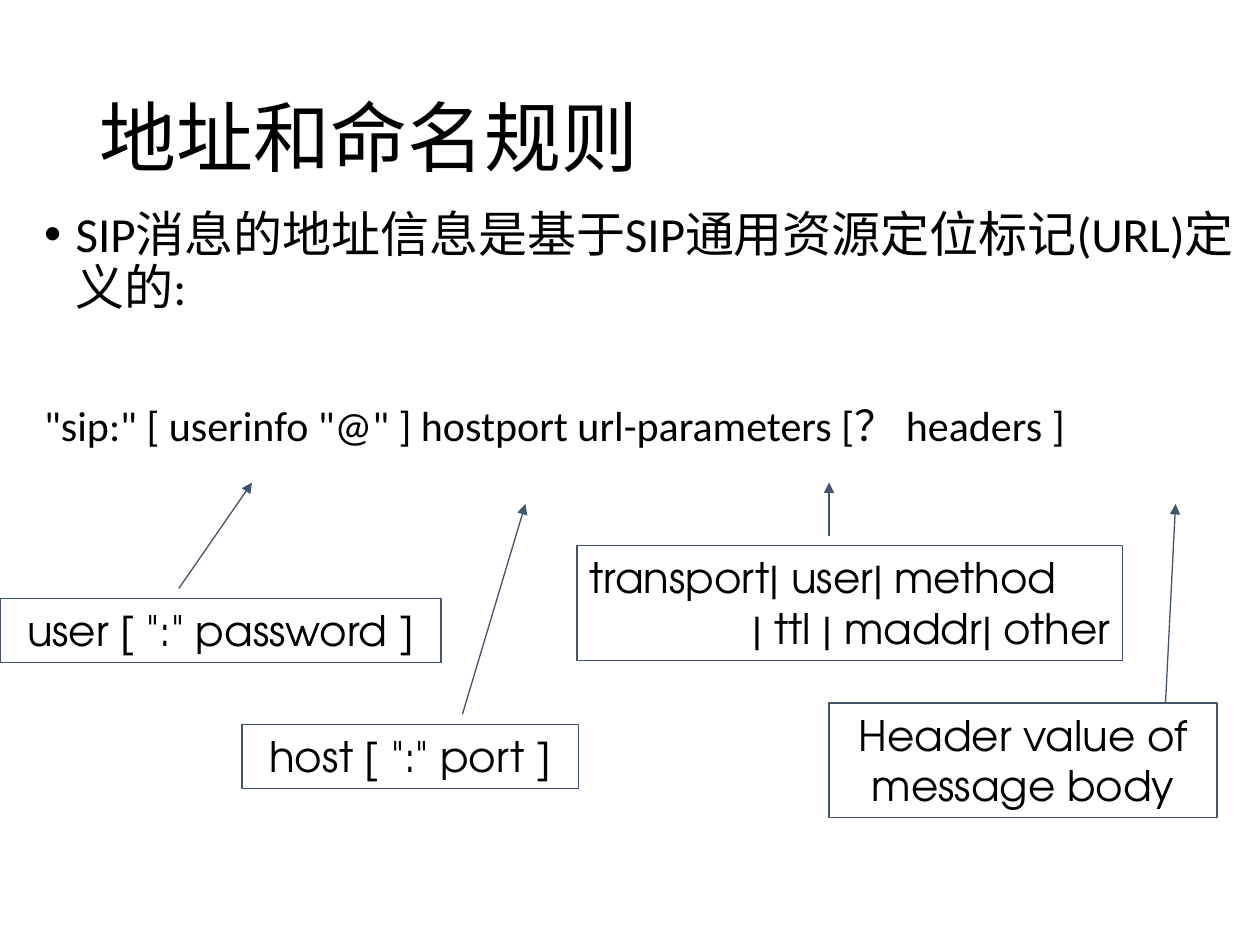
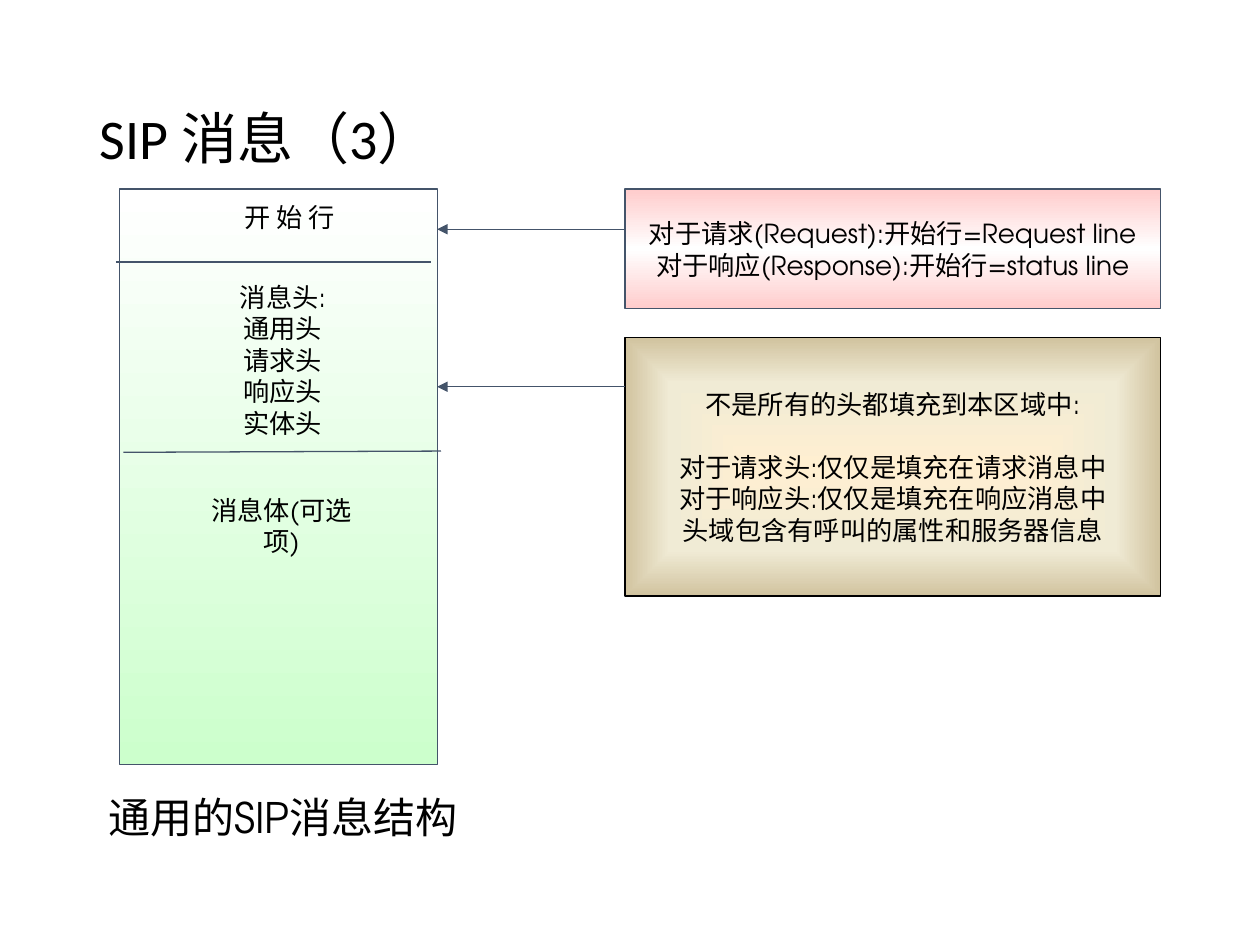
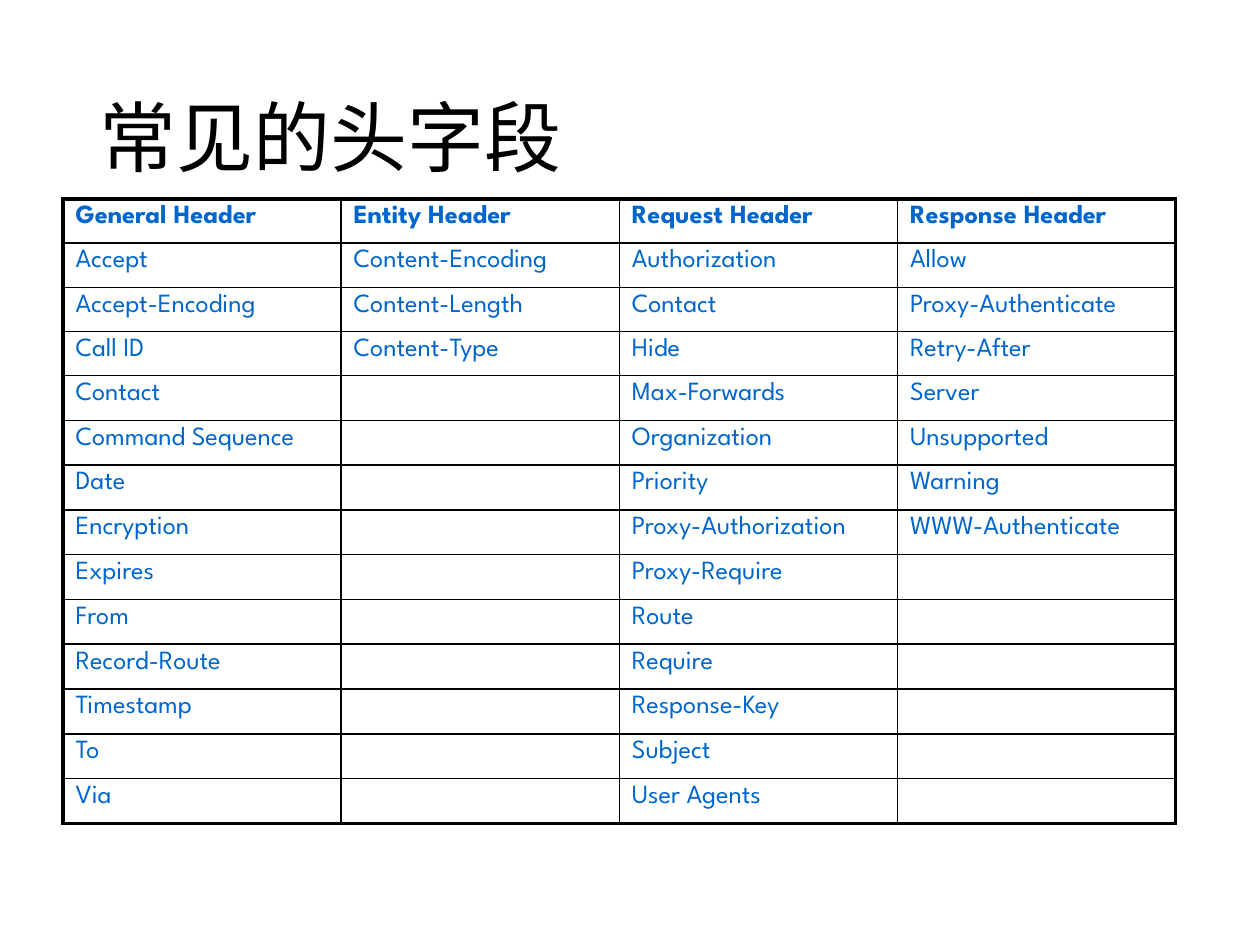
"""Build three slides on SIP addressing, message structure and header fields."""
from itertools import zip_longest

from lxml.etree import SubElement
from pptx import Presentation
from pptx.dml.color import RGBColor
from pptx.enum.shapes import MSO_CONNECTOR, MSO_SHAPE
from pptx.enum.text import MSO_ANCHOR, MSO_AUTO_SIZE, PP_ALIGN
from pptx.oxml.ns import qn
from pptx.util import Inches, Pt

BLACK = RGBColor(0x00, 0x00, 0x00)
SLATE = RGBColor(0x44, 0x54, 0x6A)
BLUE = RGBColor(0x00, 0x66, 0xCC)
WHITE = RGBColor(0xFF, 0xFF, 0xFF)
MINT = RGBColor(0xCC, 0xFF, 0xCC)
PINK = RGBColor(0xFF, 0xCC, 0xCC)
CREAM = RGBColor(0xFF, 0xEF, 0xD1)
IVORY = RGBColor(0xF0, 0xEB, 0xD5)
SAND = RGBColor(0xD1, 0xC3, 0x9F)

HEADING_FONT = "Calibri"
LABEL_FONT = "TeX Gyre Adventor"
TABLE_FONT = "League Spartan"
LEFT, CENTER, RIGHT = PP_ALIGN.LEFT, PP_ALIGN.CENTER, PP_ALIGN.RIGHT

ADDRESS_RULE = "SIP消息的地址信息是基于SIP通用资源定位标记(URL)定义的:"
URL_SYNTAX = '"sip:" [ userinfo "@" ] hostport url-parameters [？ headers ]'
URL_PARTS = [
    (['user [ ":" password ]'], (0, 4.75, 3.5, 0.51), [CENTER]),
    (['host [ ":" port ]'], (1.92, 5.75, 2.67, 0.51), [CENTER]),
    (["transport| user| method", "| ttl | maddr| other"], (4.58, 4.33, 4.33, 0.91), [LEFT, RIGHT]),
    (["Header value of message body"], (6.58, 5.58, 3.08, 0.91), [CENTER]),
]
URL_POINTERS = [
    ((1.42, 4.67), (2, 3.83)),
    ((3.67, 5.67), (4.17, 4)),
    ((6.58, 4.25), (6.58, 3.83)),
    ((9.25, 5.58), (9.33, 4)),
]

START_LINE_NOTE = [
    "对于请求(Request):开始行=Request line",
    "对于响应(Response):开始行=status line",
]
HEADER_NOTE = [
    "不是所有的头都填充到本区域中:",
    "对于请求头:仅仅是填充在请求消息中",
    "对于响应头:仅仅是填充在响应消息中",
    "头域包含有呼叫的属性和服务器信息",
]
MESSAGE_LABELS = [
    (["通用的SIP消息结构"], (0.75, 6.23, 2.99, 0.5), 24, True),
    (["开 始 行"], (1.83, 1.55, 0.94, 0.35), 15, False),
    (["消息头:", "通用头", "请求头", "响应头", "实体头"], (1.46, 2.18, 1.57, 1.35), 15, True),
    (["消息体(可选项)"], (1.44, 3.87, 1.59, 0.35), 15, True),
]
MESSAGE_DIVIDERS = [((0.92, 2.08), (3.42, 2.08)), ((0.98, 3.59), (3.5, 3.58))]
NOTE_LEFT, MESSAGE_RIGHT = 4.96, 3.47
NOTE_ARROW_HEIGHTS = [1.82, 3.07]

HEADERS = {
    "General Header": [
        "Accept", "Accept-Encoding", "Call ID", "Contact", "Command Sequence", "Date", "Encryption",
        "Expires", "From", "Record-Route", "Timestamp", "To", "Via",
    ],
    "Entity Header": ["Content-Encoding", "Content-Length", "Content-Type"],
    "Request Header": [
        "Authorization", "Contact", "Hide", "Max-Forwards", "Organization", "Priority",
        "Proxy-Authorization", "Proxy-Require", "Route", "Require", "Response-Key", "Subject",
        "User Agents",
    ],
    "Response Header": [
        "Allow", "Proxy-Authenticate", "Retry-After", "Server", "Unsupported", "Warning",
        "WWW-Authenticate",
    ],
}


def inches(box):
    return [Inches(length) for length in box]


def write(frame, lines, size=15, font=LABEL_FONT, color=BLACK, bold=False, aligns=(CENTER,),
          spacing=None, wrap=True, anchor=MSO_ANCHOR.TOP):
    frame.word_wrap = wrap
    frame.auto_size = MSO_AUTO_SIZE.NONE
    frame.vertical_anchor = anchor
    for index, line in enumerate(lines):
        paragraph = frame.paragraphs[0] if index == 0 else frame.add_paragraph()
        paragraph.alignment = aligns[index % len(aligns)]
        paragraph.line_spacing = spacing
        if not line:
            paragraph._p.get_or_add_endParaRPr().set("sz", str(size * 100))
            continue
        run = paragraph.add_run()
        run.text = line
        run.font.size = Pt(size)
        run.font.name = font
        run.font.bold = bold
        run.font.color.rgb = color
    return frame.paragraphs


def add_slide(deck, layout, title, size=44):
    slide = deck.slides.add_slide(deck.slide_layouts[layout])
    place(slide.shapes.title, (0.69, 0.4, 8.62, 1.45))
    write(slide.shapes.title.text_frame, [title], size=size, font=HEADING_FONT, aligns=[LEFT],
          spacing=0.9, anchor=MSO_ANCHOR.MIDDLE)
    return slide


def place(holder, box):
    holder.left, holder.top, holder.width, holder.height = inches(box)


def add_box(slide, box, outline=SLATE, stops=(), from_center=False):
    shape = slide.shapes.add_shape(MSO_SHAPE.RECTANGLE, *inches(box))
    shape.shadow.inherit = False
    shape.line.color.rgb = outline
    shape.line.width = Pt(0.75)
    if not stops:
        shape.fill.background()
        return shape
    shape.fill.gradient()
    gradient = shape._element.spPr.find(qn("a:gradFill"))
    for child in list(gradient):
        gradient.remove(child)
    stop_list = SubElement(gradient, qn("a:gsLst"))
    for position, color in stops:
        stop = SubElement(stop_list, qn("a:gs"), pos=str(position * 1000))
        SubElement(stop, qn("a:srgbClr"), val=str(color))
    if from_center:
        center = SubElement(gradient, qn("a:path"), {"path": "shape"})
        SubElement(center, qn("a:fillToRect"), dict.fromkeys("ltrb", "50000"))
    else:
        SubElement(gradient, qn("a:lin"), ang="5400000", scaled="0")
    return shape


def add_line(slide, start, end, arrow=True):
    line = slide.shapes.add_connector(MSO_CONNECTOR.STRAIGHT, *inches(start + end))
    line.line.color.rgb = SLATE
    line.line.width = Pt(0.75)
    properties = line._element.spPr
    if arrow:
        SubElement(properties.find(qn("a:ln")), qn("a:tailEnd"), type="triangle")
    SubElement(properties, qn("a:effectLst"))


def add_borders(cell, widths):
    properties = cell._tc.get_or_add_tcPr()
    for side, width in widths.items():
        border = SubElement(properties, qn(f"a:ln{side}"), w=str(Pt(width)))
        fill = SubElement(border, qn("a:solidFill"))
        SubElement(fill, qn("a:srgbClr"), val=str(BLACK))


def build_address_slide(deck):
    slide = add_slide(deck, 1, "地址和命名规则")
    body = slide.placeholders[1]
    place(body, (0.25, 1.62, 9.75, 2.38))
    rule, syntax = write(body.text_frame, [ADDRESS_RULE, URL_SYNTAX], size=28, font=HEADING_FONT,
                         aligns=[LEFT], spacing=0.9)
    syntax.runs[0].font.size = Pt(24)
    for paragraph, gap in ((rule, 10), (syntax, 51)):
        paragraph.space_before = Pt(gap)
        properties = paragraph._p.get_or_add_pPr()
        properties.set("marL", str(Inches(0.25)))
        properties.set("indent", str(Inches(-0.25)))
    SubElement(rule._p.pPr, qn("a:buFont"), typeface="Arial")
    SubElement(rule._p.pPr, qn("a:buChar"), char="•")
    SubElement(syntax._p.pPr, qn("a:buNone"))
    for lines, box, aligns in URL_PARTS:
        write(add_box(slide, box).text_frame, lines, size=24, aligns=aligns)
    for start, end in URL_POINTERS:
        add_line(slide, start, end)


def build_message_slide(deck):
    slide = add_slide(deck, 5, "SIP 消息（3）", size=32)
    add_box(slide, (0.95, 1.5, 2.52, 4.57), stops=[(0, WHITE), (100, MINT)])
    start_note = add_box(slide, (NOTE_LEFT, 1.5, 4.25, 0.95),
                         stops=[(0, PINK), (50, WHITE), (100, PINK)])
    header_note = add_box(slide, (NOTE_LEFT, 2.68, 4.25, 2.05), outline=BLACK,
                          stops=[(0, CREAM), (65, IVORY), (100, SAND)], from_center=True)
    write(start_note.text_frame, START_LINE_NOTE, wrap=False, anchor=MSO_ANCHOR.MIDDLE)
    header_lines = write(header_note.text_frame, HEADER_NOTE, wrap=False, anchor=MSO_ANCHOR.MIDDLE)
    header_lines[1].space_before = Pt(18)
    for height in NOTE_ARROW_HEIGHTS:
        add_line(slide, (NOTE_LEFT, height), (MESSAGE_RIGHT, height))
    for start, end in MESSAGE_DIVIDERS:
        add_line(slide, start, end, arrow=False)
    for lines, box, size, wrap in MESSAGE_LABELS:
        label = slide.shapes.add_textbox(*inches(box))
        write(label.text_frame, lines, size=size, wrap=wrap)


def build_header_slide(deck):
    slide = add_slide(deck, 5, "常见的头字段")
    rows = [tuple(HEADERS), *zip_longest(*HEADERS.values(), fillvalue="")]
    last_row, last_column = len(rows) - 1, len(HEADERS) - 1
    table = slide.shapes.add_table(len(rows), len(HEADERS), *inches((0.5, 1.58, 8.83, 4.9))).table
    table.first_row = table.horz_banding = False
    for r, row in enumerate(rows):
        for c, name in enumerate(row):
            cell = table.cell(r, c)
            outer = {"L": c == 0, "R": c == last_column, "T": r == 0, "B": r == last_row}
            add_borders(cell, {side: 2.25 if edge else 1 for side, edge in outer.items()})
            cell.fill.background()
            write(cell.text_frame, [name], font=TABLE_FONT, color=BLUE, bold=r == 0, aligns=[LEFT])


def main():
    deck = Presentation()
    deck.slide_width, deck.slide_height = Inches(10), Inches(7.5)
    build_address_slide(deck)
    build_message_slide(deck)
    build_header_slide(deck)
    deck.save("out.pptx")


if __name__ == "__main__":
    main()
